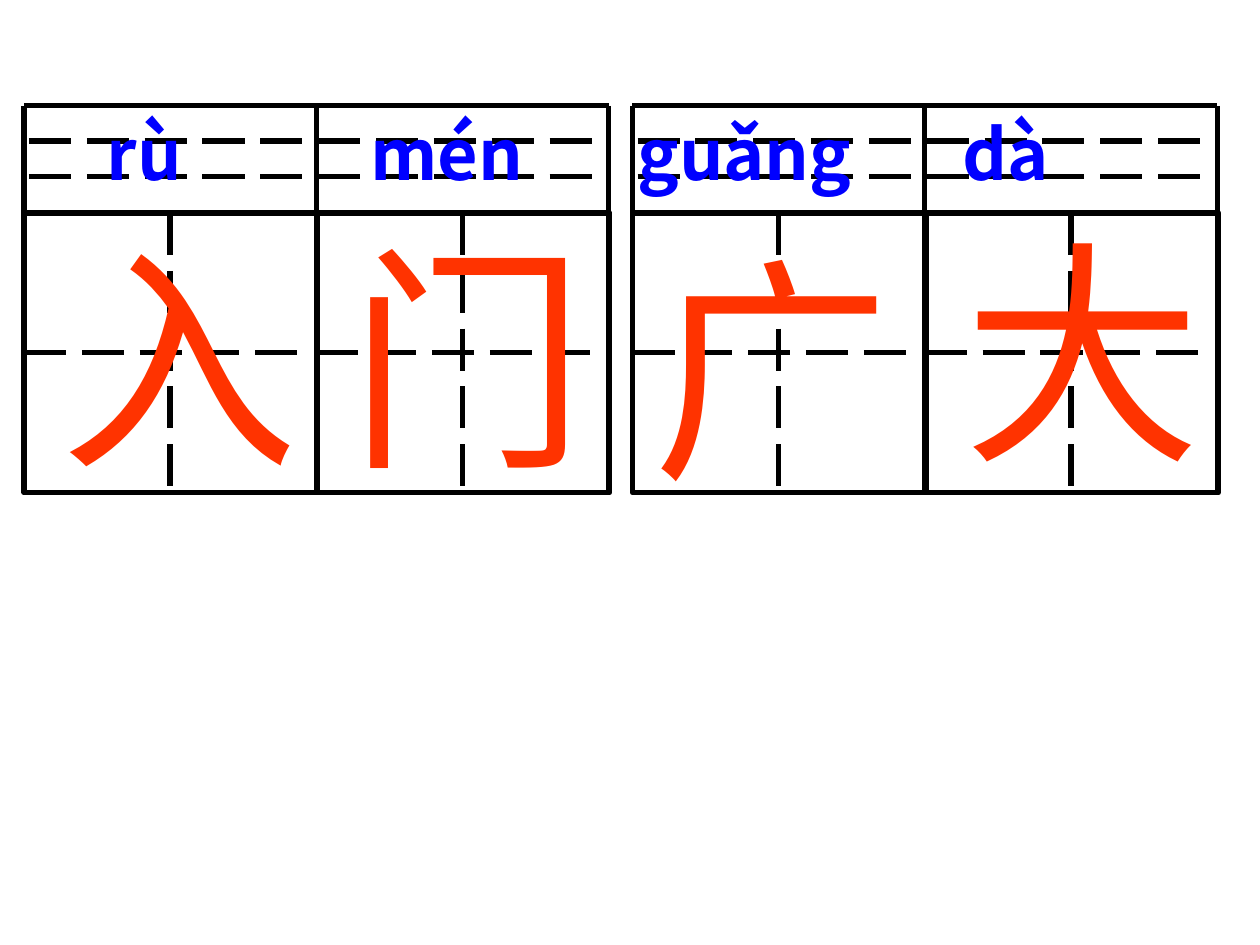
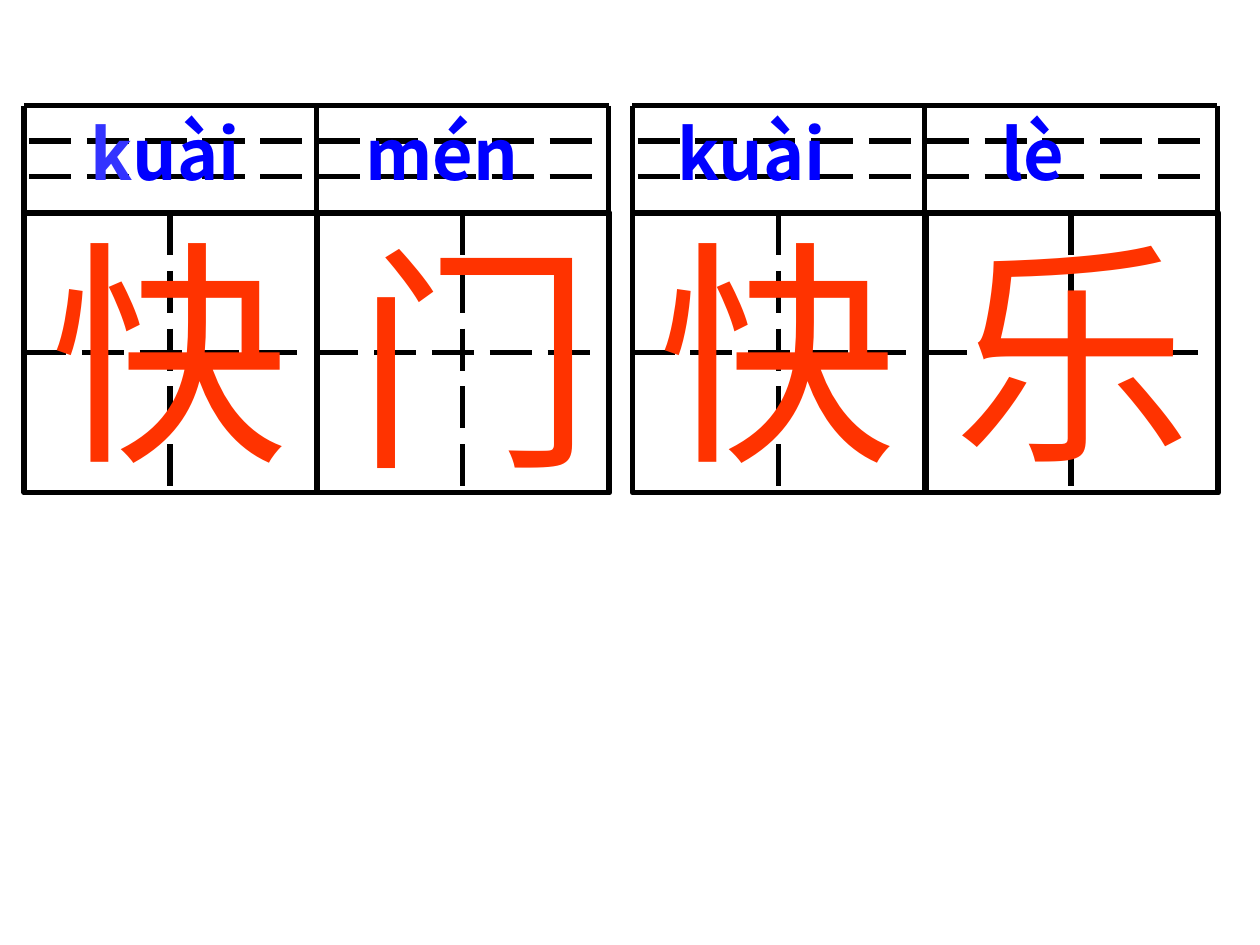
"""Build two slides of pinyin and character practice grids."""
from lxml import etree
from pptx import Presentation
from pptx import util as u
from pptx.dml.color import RGBColor
from pptx.enum import dml, shapes, text
from pptx.oxml.ns import qn

COLORS = {"grid": "000000", "hanzi": "FF3300", "pinyin": "0000FF", "initial": "3333FF"}
CJK_FONT = "Noto Sans CJK SC"
PAIR_LEFTS = (0.19, 5.02)
CELL_W, PAIR_W = 2.32, 4.64
TOP, CELL_TOP, MIDDLE, BOTTOM = 0.84, 1.69, 2.8, 3.91

SLIDES = [
    {
        "hanzi": [("入", 0.38, 1.63), ("门", 2.67, 1.63), ("广", 5.08, 1.72), ("大", 7.55, 1.58)],
        "pinyin": [("\t", "initial"), ("rù\tmén\tguǎng\tdà", "pinyin")],
        "tabs": (0.63, 2.72, 4.84, 7.42),
    },
    {
        "hanzi": [("快", 0.3, 1.58), ("门", 2.72, 1.63), ("快", 5.13, 1.58), ("乐", 7.47, 1.58)],
        "pinyin": [("\tk", "initial"), ("uài\tmén\tkuài\tlè", "pinyin")],
        "tabs": (0.5, 2.68, 5.16, 7.73),
    },
]


def add_line(group, x1, y1, x2, y2, dashed=False):
    line = group.shapes.add_connector(
        shapes.MSO_CONNECTOR.STRAIGHT, *[u.Inches(v) for v in (x1, y1, x2, y2)])
    line.line.color.rgb = RGBColor.from_string(COLORS["grid"])
    line.line.width = u.Pt(3)
    if dashed:
        line.line.dash_style = dml.MSO_LINE.LONG_DASH
    etree.SubElement(line._element.spPr, qn("a:effectLst"))


def add_text(slide, x, y, w, h, runs, size, font, bold=False, tabs=()):
    sp = slide.shapes.add_textbox(*[u.Inches(v) for v in (x, y, w, h)])
    tf = sp.text_frame
    tf.word_wrap = True
    tf.auto_size = text.MSO_AUTO_SIZE.SHAPE_TO_FIT_TEXT
    p = tf.paragraphs[0]
    if tabs:
        tab_list = etree.SubElement(p._p.get_or_add_pPr(), qn("a:tabLst"))
        for pos in tabs:
            etree.SubElement(tab_list, qn("a:tab"), pos=str(u.Inches(pos)), algn="l")
    for words, color in runs:
        r = p.add_run()
        r.text = words
        r.font.size = u.Pt(size)
        r.font.name = font
        r.font.bold = bold
        r.font.color.rgb = RGBColor.from_string(COLORS[color])
        etree.SubElement(r._r.get_or_add_rPr(), qn("a:ea"), typeface=CJK_FONT)


prs = Presentation()
prs.slide_width, prs.slide_height = u.Inches(10), u.Inches(7.5)

for content in SLIDES:
    s = prs.slides.add_slide(prs.slide_layouts[6])
    for left in PAIR_LEFTS:
        right = left + PAIR_W
        grid = s.shapes.add_group_shape()
        for x in (left, left + CELL_W):
            cell = grid.shapes.add_shape(
                shapes.MSO_SHAPE.RECTANGLE, u.Inches(x), u.Inches(CELL_TOP),
                u.Inches(CELL_W + 0.01), u.Inches(BOTTOM - CELL_TOP))
            cell.shadow.inherit = False
            cell.fill.background()
            cell.line.color.rgb = RGBColor.from_string(COLORS["grid"])
            cell.line.width = u.Pt(3)
            add_line(grid, x + CELL_W / 2, CELL_TOP, x + CELL_W / 2, BOTTOM, dashed=True)
            add_line(grid, x, MIDDLE, x + 2.28, MIDDLE, dashed=True)
        add_line(grid, left, TOP, right, TOP)
        for y in (1.12, 1.4):
            add_line(grid, left + 0.04, y, right, y, dashed=True)
        for x in (left, left + CELL_W, right):
            add_line(grid, x, TOP, x, BOTTOM)

    for character, x, y in content["hanzi"]:
        add_text(s, x, y, 2.28, 2.37, [(character, "hanzi")], 136, "Arial")
    add_text(s, 0.12, 0.83, 9.96, 0.77, content["pinyin"], 40, CJK_FONT,
             bold=True, tabs=content["tabs"])

prs.save("out.pptx")
